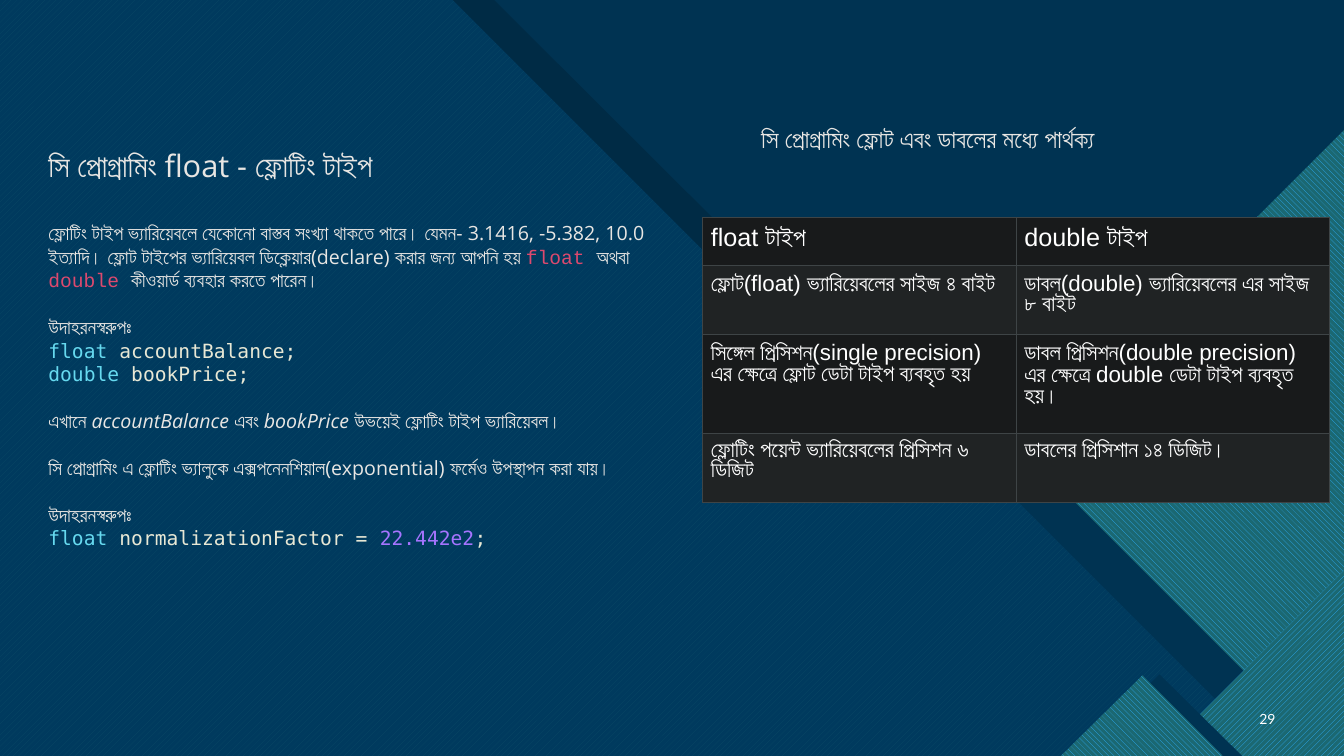
"""Slide on the float and double types in C, with a table of differences."""
from math import cos, radians, sin

from lxml.etree import SubElement, fromstring
from pptx import Presentation
from pptx.dml.color import RGBColor as RGB
from pptx.enum.dml import MSO_PATTERN as PATTERN
from pptx.enum.text import MSO_ANCHOR as ANCHOR, MSO_AUTO_SIZE as AUTO, PP_ALIGN as ALIGN
from pptx.oxml.ns import nsdecls, qn
from pptx.util import Emu, Inches, Pt

prs = Presentation()
prs.slide_width, prs.slide_height = Inches(13.33), Inches(7.5)
UNIT = prs.slide_height / 75
W, H = prs.slide_width / UNIT, 75

THEME = {
    "navy": "003352", "black": "000000", "blue": "0065A4", "aqua": "47C3D3",
    "sky": "2FAFFF", "teal": "1B6872", "white": "FFFFFF", "pale": "E8E6E3",
    "pink": "DD496E", "cyan": "66D9EF", "cream": "E8E8D5", "violet": "A674FF",
    "dark": "181A1B", "light": "202324", "edge": "3E4446",
    "heading": 22, "title": 18, "cell": 16, "body": 14, "number": 10,
}
STYLES = {
    "head": ("Open Sans", "heading", "pale", False),
    "title": ("Open Sans", "title", "pale", False),
    "text": ("Open Sans", "body", "pale", False),
    "italic": ("Open Sans", "body", "pale", True),
    "keyword": ("Courier New", "body", "pink", False),
    "type": ("DejaVu Sans Mono", "body", "cyan", False),
    "code": ("DejaVu Sans Mono", "body", "cream", False),
    "value": ("DejaVu Sans Mono", "body", "violet", False),
    "th": ("Arial", "title", "white", False),
    "td": ("Arial", "cell", "white", False),
    "number": ("Lato", "number", "white", False),
}


def color(name):
    return RGB.from_string(THEME[name])


def style_run(r, style):
    name, size, ink, italic = STYLES[style]
    r.font.name, r.font.size, r.font.italic = name, Pt(THEME[size]), italic
    r.font.color.rgb = color(ink)


s = prs.slides.add_slide(prs.slide_layouts[1])
s.background.fill.solid()
s.background.fill.fore_color.rgb = color("navy")

UP, DOWN = PATTERN.WIDE_UPWARD_DIAGONAL, PATTERN.WIDE_DOWNWARD_DIAGONAL
BACKDROP = [
    (None, "black", None, 100, 0,
     [(0, 0), (49, 0), (78.8, 29.7), (91.4, 29.7), (W, 71.7), (W, H), (0, H)]),
    (UP, "aqua", "blue", 100, 270,
     [(0, 0), (44.9, 0), (74.6, 29.7), (87.2, 29.7), (132.5, H), (0, H)]),
    (None, "navy", None, 85, 0,
     [(0, 0), (69.5, 0), (99.2, 29.7), (111.8, 29.7), (W, 51.3), (W, H), (0, H)]),
    (None, "navy", None, 100, 0, [(W, 15.5), (W, 70.8), (122, 70.8), (100, 48.8)]),
    (DOWN, "sky", "teal", 100, 135, [(W, 12.9), (W, 73.7), (130.5, 73.7), (101.5, 44.7)]),
    (None, "navy", None, 100, 0, [(W, 61.4), (W, H), (119.7, H)]),
    (UP, "sky", "teal", 100, 135, [(W, 56.6), (W, H), (114.9, H)]),
    (None, "navy", None, 100, 0, [(123.2, H), (115, 66.9), (106.9, H)]),
    (DOWN, "sky", "teal", 100, 135, [(105.2, H), (113.3, 67), (121.3, H)]),
]
for pattern, fore, back, opacity, turn, corners in BACKDROP:
    c, d = cos(radians(turn)), sin(radians(turn))
    pts = [((x * c + y * d) * UNIT, (y * c - x * d) * UNIT) for x, y in corners]
    pen = s.shapes.build_freeform(*pts[0])
    pen.add_line_segments(pts[1:])
    sp = pen.convert_to_shape()
    mx, my = sp.left + sp.width / 2, sp.top + sp.height / 2
    sp.left = Emu(round(mx * c - my * d - sp.width / 2))
    sp.top = Emu(round(mx * d + my * c - sp.height / 2))
    sp.rotation = turn
    sp.shadow.inherit = False
    sp.line.fill.background()
    if pattern:
        sp.fill.patterned()
        sp.fill.pattern = pattern
        sp.fill.back_color.rgb = color(back)
    else:
        sp.fill.solid()
    sp.fill.fore_color.rgb = color(fore)
    if opacity < 100:
        ink = sp.element.spPr.find(f"{qn('a:solidFill')}/{qn('a:srgbClr')}")
        SubElement(ink, qn("a:alpha"), val=str(opacity * 1000))

ROWS = [
    (4.7, "float টাইপ", "double টাইপ"),
    (6.9, "ফ্লোট(float) ভ্যারিয়েবলের সাইজ ৪ বাইট", "ডাবল(double) ভ্যারিয়েবলের এর সাইজ ৮ বাইট"),
    (9.8, "সিঙ্গেল প্রিসিশন(single precision) এর ক্ষেত্রে ফ্লোট ডেটা টাইপ ব্যবহৃত হয়",
     "ডাবল প্রিসিশন(double precision) এর ক্ষেত্রে double ডেটা টাইপ ব্যবহৃত হয়।"),
    (6.9, "ফ্লোটিং পয়েন্ট ভ্যারিয়েবলের প্রিসিশন ৬ ডিজিট", "ডাবলের প্রিসিশান ১৪ ডিজিট।"),
]
box = [Emu(round(v * UNIT)) for v in (69.7, 21.6, 62.2, 28.3)]
table = s.shapes.add_table(len(ROWS), 2, *box).table
for i, (height, *texts) in enumerate(ROWS):
    table.rows[i].height = Emu(round(height * UNIT))
    for cell, text in zip(table.rows[i].cells, texts):
        cell.text = text
        cell.margin_left = cell.margin_right = Inches(0.08)
        cell.margin_top = cell.margin_bottom = Inches(0.08)
        cell.fill.solid()
        cell.fill.fore_color.rgb = color("light" if i % 2 else "dark")
        p = cell.text_frame.paragraphs[0]
        p.line_spacing = 0.9
        style_run(p.runs[0], "td" if i else "th")
        for k, side in enumerate("LRTB"):
            cell._tc.tcPr.insert(k, fromstring(
                f'<a:ln{side} {nsdecls("a")} w="9525"><a:solidFill>'
                f'<a:srgbClr val="{THEME["edge"]}"/></a:solidFill></a:ln{side}>'))

GAP = 16.75
BODY = [
    (0, [("head", "সি প্রোগ্রামিং float - ফ্লোটিং টাইপ")]),
    (27, [("text", "ফ্লোটিং টাইপ ভ্যারিয়েবলে যেকোনো বাস্তব সংখ্যা থাকতে পারে। যেমন- 3.1416, -5.382, 10.0 "
                   "ইত্যাদি। ফ্লোট টাইপের ভ্যারিয়েবল ডিক্লেয়ার(declare) করার জন্য আপনি হয় "),
          ("keyword", "float "), ("text", "অথবা "), ("keyword", "double "),
          ("text", "কীওয়ার্ড ব্যবহার করতে পারেন।")]),
    (GAP, [("text", "উদাহরনস্বরুপঃ")]),
    (0, [("type", "float "), ("code", "accountBalance;")]),
    (0, [("type", "double "), ("code", "bookPrice;")]),
    (GAP, [("text", "এখানে "), ("italic", "accountBalance "), ("text", "এবং "),
           ("italic", "bookPrice "), ("text", "উভয়েই ফ্লোটিং টাইপ ভ্যারিয়েবল।")]),
    (GAP, [("text", "সি প্রোগ্রামিং এ ফ্লোটিং ভ্যালুকে এক্সপনেনশিয়াল(exponential) ফর্মেও উপস্থাপন করা যায়।")]),
    (GAP, [("text", "উদাহরনস্বরুপঃ")]),
    (0, [("type", "float "), ("code", "normalizationFactor = "), ("value", "22.442e2"), ("code", ";")]),
]
title, body = s.placeholders
number = s.shapes.add_textbox(0, 0, 0, 0)
FRAMES = [
    (title, (75.5, 11.2, 50.5, 5), ANCHOR.MIDDLE, 0),
    (body, (4.8, 9.8, 60, 57.1), ANCHOR.TOP, 0.48),
    (number, (123.1, 69.1, 4.4, 4), ANCHOR.MIDDLE, 0.05),
]
for sp, frame, anchor, inset in FRAMES:
    sp.left, sp.top, sp.width, sp.height = [Emu(round(v * UNIT)) for v in frame]
    s.shapes.element.append(sp.element)
    tf = sp.text_frame
    tf.word_wrap, tf.auto_size, tf.vertical_anchor = True, AUTO.NONE, anchor
    tf.margin_left = tf.margin_bottom = 0
    tf.margin_right = Inches(0.1) if sp is number else 0
    tf.margin_top = Inches(inset)

for sp, text, style, align in ((title, "সি প্রোগ্রামিং ফ্লোট এবং ডাবলের মধ্যে পার্থক্য", "title", ALIGN.LEFT),
                               (number, "29", "number", ALIGN.RIGHT)):
    sp.text_frame.text = text
    p = sp.text_frame.paragraphs[0]
    p.alignment = align
    style_run(p.runs[0], style)

tf = body.text_frame
for i, (gap, runs) in enumerate(BODY):
    p = tf.add_paragraph() if i else tf.paragraphs[0]
    p.space_before, p.line_spacing = Pt(gap), Pt(GAP if i else 26)
    pPr = p._p.get_or_add_pPr()
    pPr.set("marL", "0")
    pPr.set("indent", "0")
    SubElement(pPr, qn("a:buNone"))
    for style, text in runs:
        r = p.add_run()
        r.text = text
        style_run(r, style)

prs.save("out.pptx")
